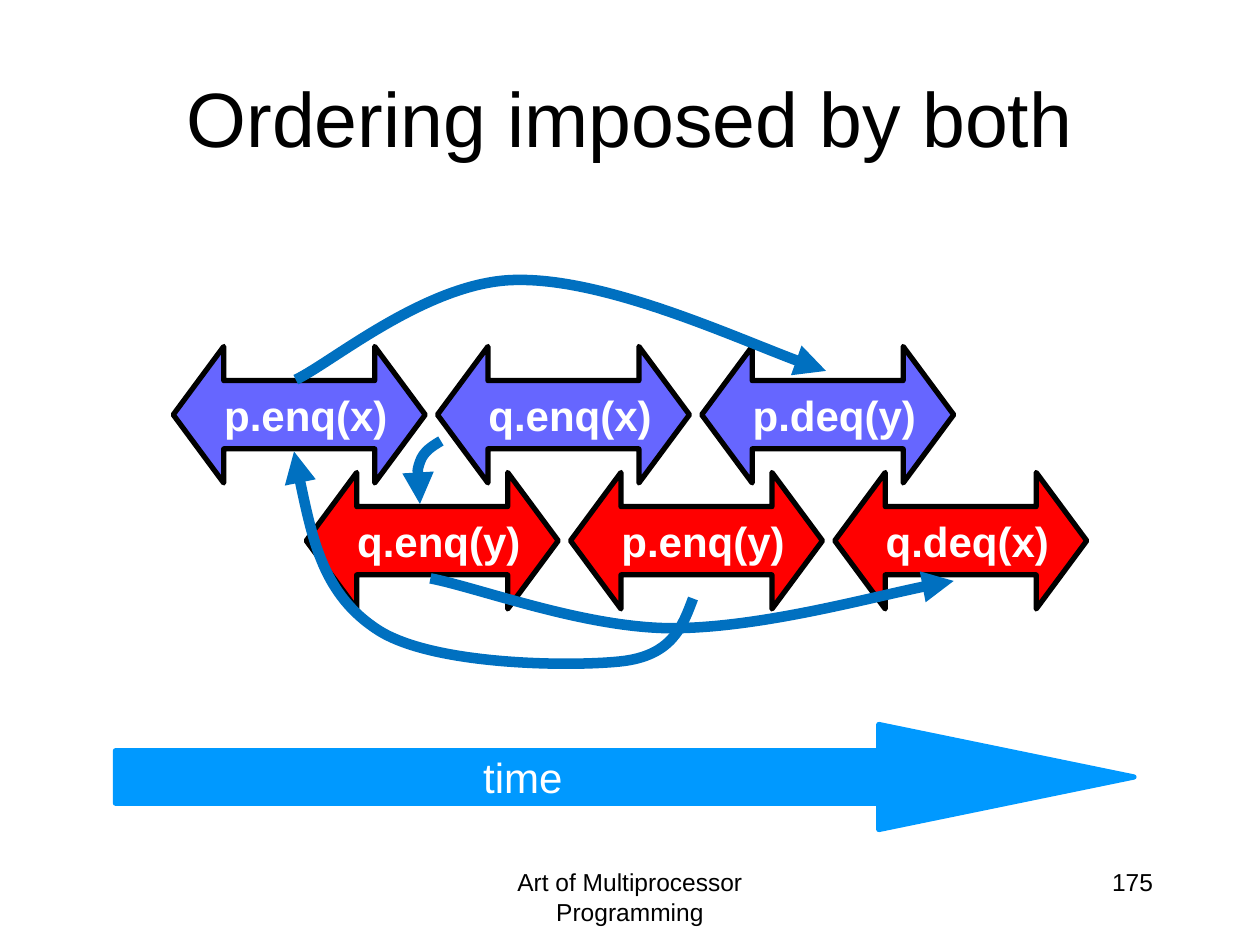
from lxml import etree
from pptx import Presentation
from pptx.dml.color import RGBColor
from pptx.enum.shapes import MSO_SHAPE
from pptx.enum.text import MSO_ANCHOR, PP_ALIGN
from pptx.oxml.ns import qn
from pptx.util import Pt

LEFT_RIGHT_ARROW = MSO_SHAPE.LEFT_RIGHT_ARROW
RIGHT_ARROW = MSO_SHAPE.RIGHT_ARROW
MIDDLE = MSO_ANCHOR.MIDDLE
CENTER, RIGHT = PP_ALIGN.CENTER, PP_ALIGN.RIGHT
TITLE_ONLY = 5
COLORS = {
    "text": "000000", "light": "FFFFFF", "outline": "000000",
    "thread_a": "6666FF", "thread_b": "FF0000",
    "time": "0099FF", "order": "0070C0",
}


class SlideBuilder:
    """Holds the font and the slide; all lengths are in points."""
    font = "Arial"

    def __init__(self, slide):
        self.slide = slide
        self.shapes = slide.shapes

    def color(self, name):
        return RGBColor.from_string(COLORS[name])

    def set_text(self, shape, text, size, color, align, bold=False, wrap=True):
        frame = shape.text_frame
        frame.word_wrap = wrap
        paragraph = frame.paragraphs[0]
        paragraph.text = text
        paragraph.alignment = align
        font = paragraph.font
        font.name, font.size, font.bold = self.font, Pt(size), bold
        font.color.rgb = self.color(color)
        return frame

    def title(self, text, box):
        title = self.shapes.title
        title.left, title.top, title.width, title.height = map(Pt, box)
        self.set_text(title, text, 44, "text", CENTER).vertical_anchor = MIDDLE

    def text(self, text, box, size, color, align, wrap=True, parent=None):
        shape = (parent or self.shapes).add_textbox(*map(Pt, box))
        self.set_text(shape, text, size, color, align, wrap=wrap)

    def arrow(self, kind, box, adjustments, fill, line, parent=None):
        shape = (parent or self.shapes).add_shape(kind, *map(Pt, box))
        shape.shadow.inherit = False
        for index, value in enumerate(adjustments):
            shape.adjustments[index] = value
        shape.fill.solid()
        shape.fill.fore_color.rgb = self.color(fill)
        shape.line.color.rgb = self.color(line)
        shape.line.width = Pt(3)
        return shape

    def method_call(self, text, left, top, fill):
        shape = self.arrow(LEFT_RIGHT_ARROW, (left, top, 144, 78),
                           (0.5, 0.37), fill, "outline")
        frame = self.set_text(shape, text, 24, "light", RIGHT, bold=True, wrap=False)
        frame.vertical_anchor = MIDDLE

    def curve(self, points):
        """Draw cubic Bezier segments with an arrowhead at the first point."""
        start, *others = [(Pt(x), Pt(y)) for x, y in points]
        builder = self.shapes.build_freeform(*start)
        builder.add_line_segments(others, close=False)
        shape = builder.convert_to_shape()
        shape.shadow.inherit = False
        shape.fill.background()
        shape.line.color.rgb = self.color("order")
        shape.line.width = Pt(6)
        # Every three line segments become one cubic segment
        segments = list(shape._element.iter(qn("a:lnTo")))
        for index in range(0, len(segments), 3):
            cubic = etree.Element(qn("a:cubicBezTo"))
            segments[index].addprevious(cubic)
            for segment in segments[index:index + 3]:
                cubic.append(segment[0])
                segment.getparent().remove(segment)
        line = shape._element.spPr.find(qn("a:ln"))
        etree.SubElement(line, qn("a:headEnd"), type="triangle")


def main():
    presentation = Presentation()
    presentation.slide_width, presentation.slide_height = Pt(720), Pt(540)
    slide = presentation.slides.add_slide(presentation.slide_layouts[TITLE_ONLY])
    builder = SlideBuilder(slide)

    # Title and footer
    builder.title("Ordering imposed by both", (36, 21.6, 648, 90))
    builder.text("Art of Multiprocessor Programming", (246, 492, 228, 36),
                 14, "text", CENTER)
    builder.text("175", (516, 492, 150, 36), 14, "text", RIGHT)

    # Method calls, one row per thread
    rows = [
        (99, 198, "thread_a", ("p.enq(x)", "q.enq(x)", "p.deq(y)")),
        (175, 270, "thread_b", ("q.enq(y)", "p.enq(y)", "q.deq(x)")),
    ]
    for left, top, fill, calls in rows:
        for column, call in enumerate(calls):
            builder.method_call(call, left + 151 * column, top, fill)

    # Time axis
    time_axis = slide.shapes.add_group_shape().shapes
    builder.arrow(RIGHT_ARROW, (66, 414, 582, 60), (0.5, 2.43),
                  "time", "time", time_axis)
    builder.text("time", (268.5, 426, 60, 36), 24, "light", RIGHT,
                 wrap=False, parent=time_axis)

    # Ordering curves, arrowhead first
    curves = [
        [(240, 288), (239, 279), (238, 270), (240, 264),
         (242, 258), (247, 255), (252, 252)],
        [(545, 332), (518, 336), (433, 359), (383, 359),
         (333, 358.5), (274, 336), (246, 330.5)],
        [(472, 212), (443, 203), (346, 159), (295, 160),
         (245, 160.5), (190, 207), (169, 217)],
        [(168, 258), (176, 299), (185, 340), (216, 360),
         (247, 380), (324, 381), (354, 378),
         (384, 375), (390, 358), (396, 342)],
    ]
    for points in curves:
        builder.curve(points)

    presentation.save("out.pptx")


if __name__ == "__main__":
    main()
